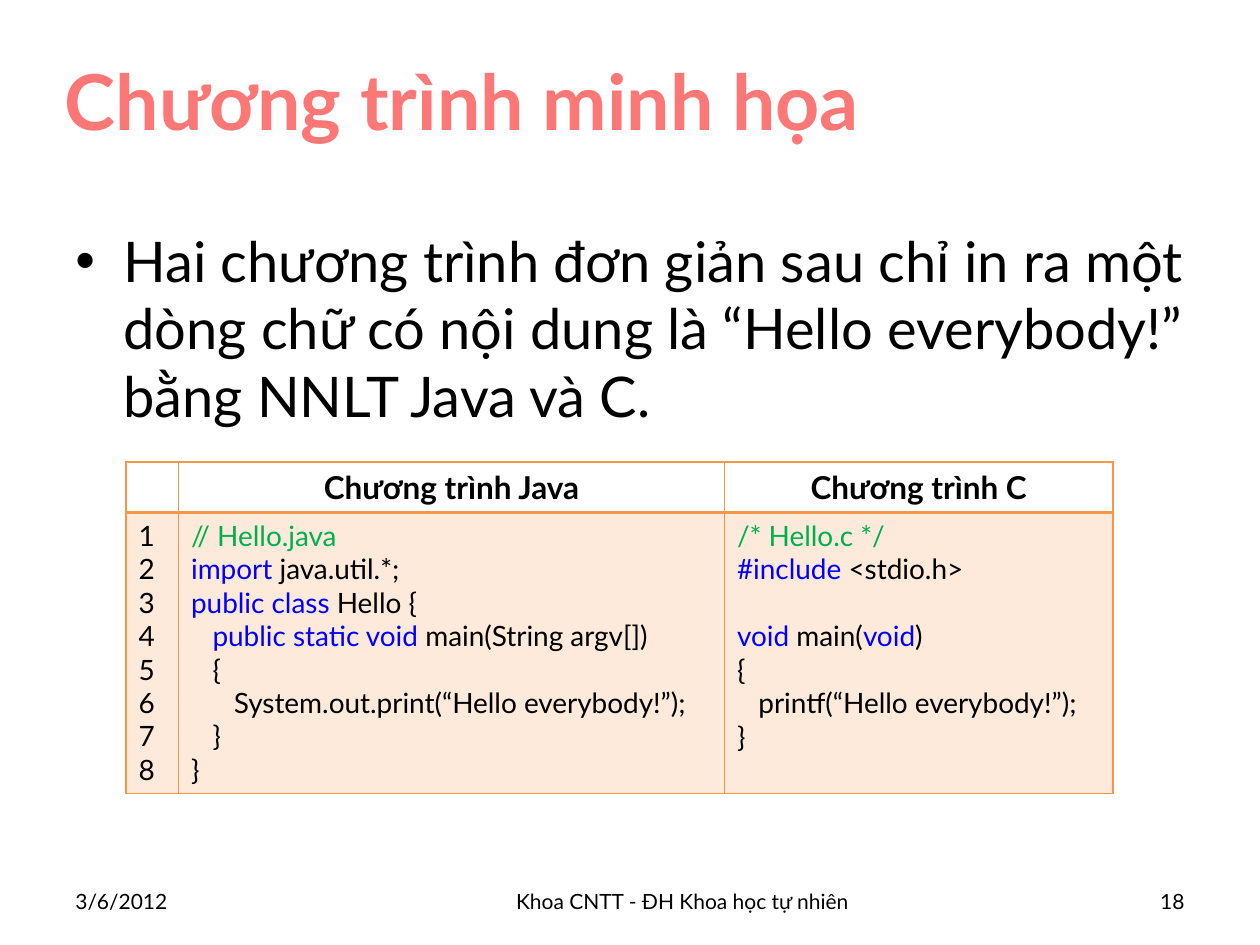
from lxml.etree import SubElement
from pptx import Presentation
from pptx.dml.color import RGBColor
from pptx.enum.text import MSO_ANCHOR, PP_ALIGN
from pptx.oxml.ns import qn
from pptx.util import Inches, Pt

COLORS = {"title": "FC7876", "text": "000000", "comment": "00B050",
          "keyword": "0000FF", "accent": "F79646"}

presentation = Presentation()
presentation.slide_width, presentation.slide_height = Inches(10), Inches(7.5)
slide = presentation.slides.add_slide(presentation.slide_layouts[6])

# The slide is a grid of 120 columns by 90 rows
unit = presentation.slide_width / 120


def grid(*counts):
    return [round(count * unit) for count in counts]


def add_runs(paragraph, runs, size, bold=False, align=PP_ALIGN.LEFT):
    paragraph.alignment = align
    for text, color in runs:
        run = paragraph.add_run()
        run.text = text
        font_format = {"name": "Lato", "size": Pt(size), "bold": bold}
        for attribute, value in font_format.items():
            setattr(run.font, attribute, value)
        run.font.color.rgb = RGBColor.from_string(COLORS[color])


# Title, body and footer texts
middle, top = MSO_ANCHOR.MIDDLE, MSO_ANCHOR.TOP
left, center, right = PP_ALIGN.LEFT, PP_ALIGN.CENTER, PP_ALIGN.RIGHT
body_text = ("Hai chương trình đơn giản sau chỉ in ra một dòng chữ có nội dung là "
             "“Hello everybody!” bằng NNLT Java và C.")
texts = [
    ((5, 2, 113, 15), "Chương trình minh họa", 44, "title", True, left, middle),
    ((6, 21, 108, 59.4), body_text, 32, "text", False, left, top),
    ((6, 83.4, 13, 4.8), "3/6/2012", 12, "text", False, left, middle),
    ((25, 83.4, 80, 4.8), "Khoa CNTT - ĐH Khoa học tự nhiên", 12, "text", False, center, middle),
    ((107, 83.4, 7, 4.8), "18", 12, "text", False, right, middle),
]
for box, text, size, color, bold, align, anchor in texts:
    shape = slide.shapes.add_textbox(*grid(*box))
    frame = shape.text_frame
    for attribute, value in {"word_wrap": True, "vertical_anchor": anchor}.items():
        setattr(frame, attribute, value)
    paragraph = frame.paragraphs[0]
    add_runs(paragraph, [(text, color)], size, bold, align)
    if text == body_text:
        properties = paragraph._p.get_or_add_pPr()
        properties.set("marL", str(Inches(0.38)))
        properties.set("indent", str(-Inches(0.38)))
        SubElement(properties, qn("a:buFont"), typeface="Arial")
        SubElement(properties, qn("a:buChar"), char="•")

# Code lines: indent level, blank lines before, coloured runs
numbers = [(0, 0, [(str(number), "text")]) for number in range(1, 9)]
java_lines = [
    (0, 0, [("// Hello.java", "comment")]),
    (0, 0, [("import", "keyword"), (" java.util.*;", "text")]),
    (0, 0, [("public class", "keyword"), (" Hello {", "text")]),
    (1, 0, [("public static void", "keyword"), (" main(String argv[])", "text")]),
    (1, 0, [("{", "text")]),
    (2, 0, [("System.out.print(“Hello everybody!”);", "text")]),
    (1, 0, [("}", "text")]),
    (0, 0, [("}", "text")]),
]
c_lines = [
    (0, 0, [("/* Hello.c */", "comment")]),
    (0, 0, [("#include", "keyword"), (" <stdio.h>", "text")]),
    (0, 1, [("void", "keyword"), (" main(", "text"), ("void", "keyword"), (")", "text")]),
    (0, 0, [("{", "text")]),
    (1, 0, [("printf(“Hello everybody!”);", "text")]),
    (0, 0, [("}", "text")]),
]

# Program table
column_widths, row_heights = grid(5, 52, 37), grid(4.8, 26.7)
table = slide.shapes.add_table(2, 3, *grid(12, 44), sum(column_widths),
                               sum(row_heights)).table
for column, width in zip(table.columns, column_widths):
    column.width = width
for row, height in zip(table.rows, row_heights):
    row.height = height

for column, header in enumerate(["", "Chương trình Java", "Chương trình C"]):
    if header:
        paragraph = table.cell(0, column).text_frame.paragraphs[0]
        add_runs(paragraph, [(header, "text")], 18, True, center)

for column, lines in enumerate([numbers, java_lines, c_lines]):
    frame = table.cell(1, column).text_frame
    for index, (level, blanks, runs) in enumerate(lines):
        paragraph = frame.add_paragraph() if index else frame.paragraphs[0]
        paragraph.space_before = Pt(19.2 * blanks)
        paragraph._p.get_or_add_pPr().set("marL", str(Inches(0.17 * level)))
        add_runs(paragraph, runs, 16)

# Cell borders, with a thicker line below the header, and fills
for row_index, thick_side in enumerate(["lnB", "lnT"]):
    for cell in table.rows[row_index].cells:
        properties = cell._tc.get_or_add_tcPr()
        for side in ("lnL", "lnR", "lnT", "lnB"):
            width = Pt(2 if side == thick_side else 1)
            line = SubElement(properties, qn(f"a:{side}"), w=str(width))
            line_fill = SubElement(line, qn("a:solidFill"))
            SubElement(line_fill, qn("a:srgbClr"), val=COLORS["accent"])
        if row_index == 0:
            cell.fill.background()
        else:
            cell.fill.solid()
            cell.fill.fore_color.rgb = RGBColor.from_string(COLORS["accent"])
            tint = properties.find(qn("a:solidFill")).find(qn("a:srgbClr"))
            SubElement(tint, qn("a:alpha"), val="20000")

presentation.save("out.pptx")
